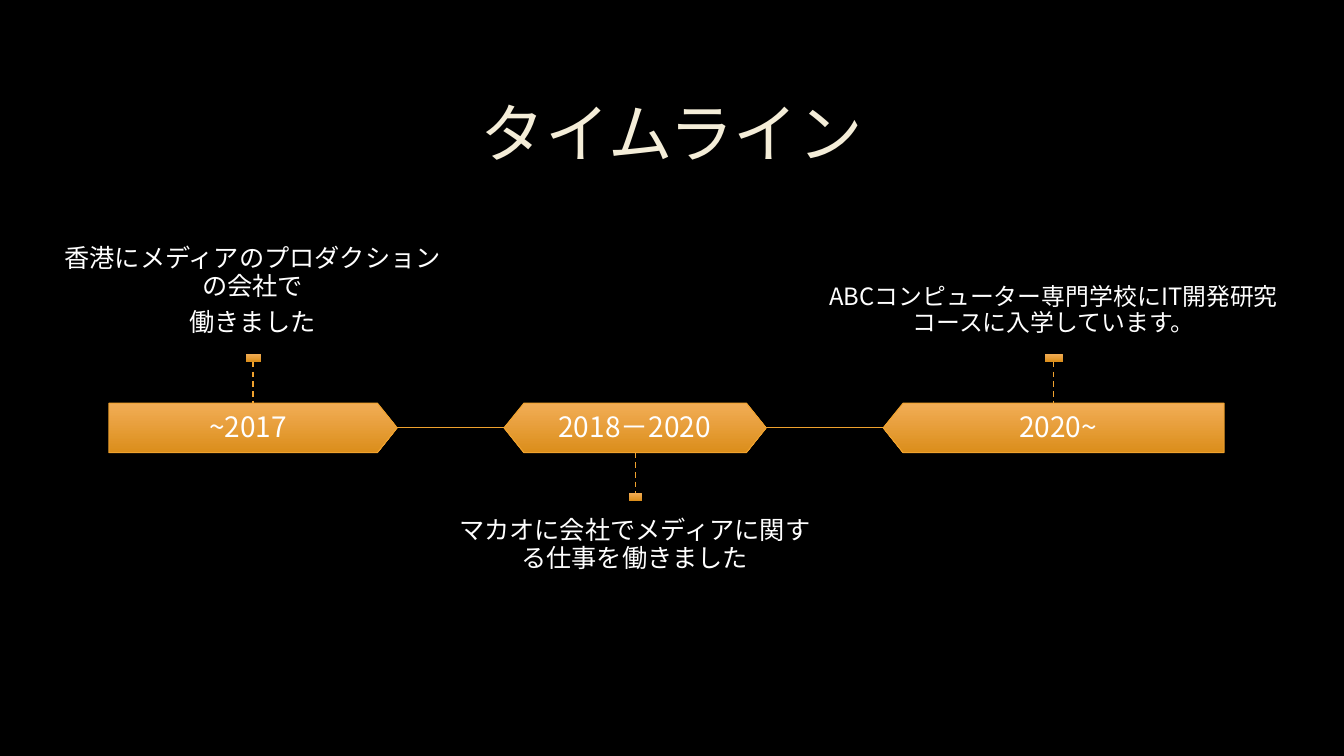
"""Build a dark timeline slide with three periods and their captions."""
from lxml import etree
from pptx import Presentation
from pptx import util as u
from pptx.dml.color import RGBColor
from pptx.enum import dml, lang, shapes, text
from pptx.oxml import ns

FONT = "Noto Sans CJK JP"
ORANGE = "F0A22E"
BAR_TOP, BAR_H, LINE_Y = 4, 0.49, 4.24
MARK_H = 0.08
SHAPE = shapes.MSO_SHAPE
TOP, MIDDLE, BOTTOM = (text.MSO_ANCHOR.TOP, text.MSO_ANCHOR.MIDDLE,
                       text.MSO_ANCHOR.BOTTOM)


def rgb(value):
    return RGBColor.from_string(value)


def write(sp, words, size, anchor, inset, color="FFFFFF", after=0.35):
    tf = sp.text_frame
    tf.text = words
    tf.word_wrap = True
    tf.auto_size = text.MSO_AUTO_SIZE.NONE
    tf.vertical_anchor = anchor
    tf.margin_left = tf.margin_right = u.Inches(inset[0])
    tf.margin_top = tf.margin_bottom = u.Inches(inset[1])
    for p in tf.paragraphs:
        p.alignment = text.PP_ALIGN.CENTER
        p.line_spacing = 0.9
        p.space_before = u.Pt(0)
        p.space_after = u.Pt(size * after)
        for r in p.runs:
            r.font.name = FONT
            r.font.size = u.Pt(size)
            r.font.color.rgb = rgb(color)
            r.font.language_id = lang.MSO_LANGUAGE_ID.JAPANESE
            ea = etree.SubElement(r.font._element, ns.qn("a:ea"))
            ea.set("typeface", FONT)


prs = Presentation()
prs.slide_width, prs.slide_height = u.Inches(13.33), u.Inches(7.5)
s = prs.slides.add_slide(prs.slide_layouts[5])
s.background.fill.solid()
s.background.fill.fore_color.rgb = rgb("000000")

title = s.shapes.title
title.left, title.top = u.Inches(1), u.Inches(0.67)
title.width, title.height = u.Inches(11.32), u.Inches(1.38)
write(title, "タイムライン", 46, MIDDLE, (0.1, 0.05), "F4EDD8", 0)

periods = [
    (SHAPE.PENTAGON, 0, (1.08, 2.86), (1.08, 2.76), (0.52, 3.97),
     (2.51, 0.15), "above", "~2017",
     "香港にメディアのプロダクションの会社で\n働きました", 18),
    (SHAPE.HEXAGON, 0, (5, 2.6), (5.28, 2.03), (4.49, 3.61),
     (6.3, 0.13), "below", "2018－2020",
     "マカオに会社でメディアに関する仕事を働きました", 18),
    (SHAPE.PENTAGON, 180, (8.76, 3.38), (8.85, 3.29), (8.1, 4.7),
     (10.45, 0.18), "above", "2020~",
     "ABCコンピューター専門学校にIT開発研究コースに入学しています。", 17),
]

lines = [((3.94, LINE_Y), (5, LINE_Y), 0.75, None),
         ((7.6, LINE_Y), (8.76, LINE_Y), 0.75, None)]
for kind, turn, bar, label, caption, mark, side, period, story, size in periods:
    above = side == "above"
    mark_x, mark_w = mark
    mark_top = 3.51 if above else 4.89
    stem = (3.59, BAR_TOP) if above else (BAR_TOP + BAR_H, mark_top)
    lines.append(((mark_x, stem[0]), (mark_x, stem[1]), 1,
                  dml.MSO_LINE.DASH))

    for preset, left, top, width, height in (
            (kind, bar[0], BAR_TOP, bar[1], BAR_H),
            (SHAPE.RECTANGLE, mark_x - mark_w / 2, mark_top, mark_w, MARK_H)):
        sp = s.shapes.add_shape(preset, u.Inches(left), u.Inches(top),
                                u.Inches(width), u.Inches(height))
        sp.shadow.inherit = False
        sp.fill.gradient()
        sp.fill.gradient_angle = 270
        for stop, color in zip(sp.fill.gradient_stops, ("F2AD56", "DB8E1B")):
            stop.color.rgb = rgb(color)
        sp._element.spPr.find(ns.qn("a:gradFill")).set("rotWithShape", "0")
        if preset == SHAPE.RECTANGLE:
            sp.line.fill.background()
        else:
            sp.adjustments[0] = 0.4
            sp.rotation = turn
            sp.line.color.rgb = rgb(ORANGE)
            sp.line.width = u.Pt(0.75)

    box = s.shapes.add_textbox(u.Inches(label[0]), u.Inches(BAR_TOP),
                               u.Inches(label[1]), u.Inches(BAR_H))
    write(box, period, 20, MIDDLE, (0.17, 0.17))
    box = s.shapes.add_textbox(u.Inches(caption[0]),
                               u.Inches(2.21 if above else 4.97),
                               u.Inches(caption[1]), u.Inches(1.3))
    write(box, story, size, BOTTOM if above else TOP, (0, 0.17))

for start, end, width, dash in lines:
    c = s.shapes.add_connector(shapes.MSO_CONNECTOR.STRAIGHT,
                               *map(u.Inches, start + end))
    c.line.color.rgb = rgb(ORANGE)
    c.line.width = u.Pt(width)
    if dash:
        c.line.dash_style = dash
    etree.SubElement(c._element.spPr, ns.qn("a:effectLst"))

prs.save("out.pptx")
